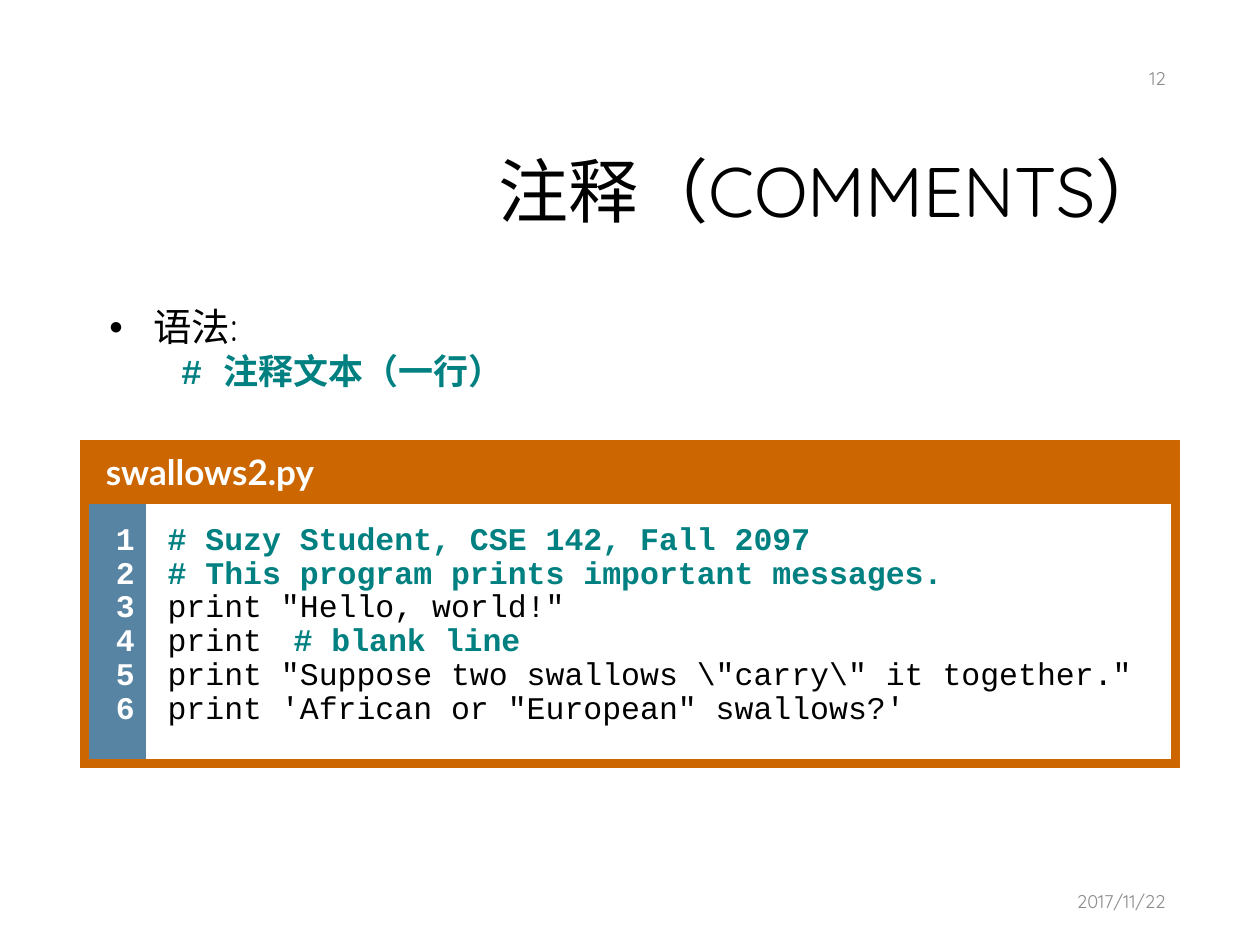
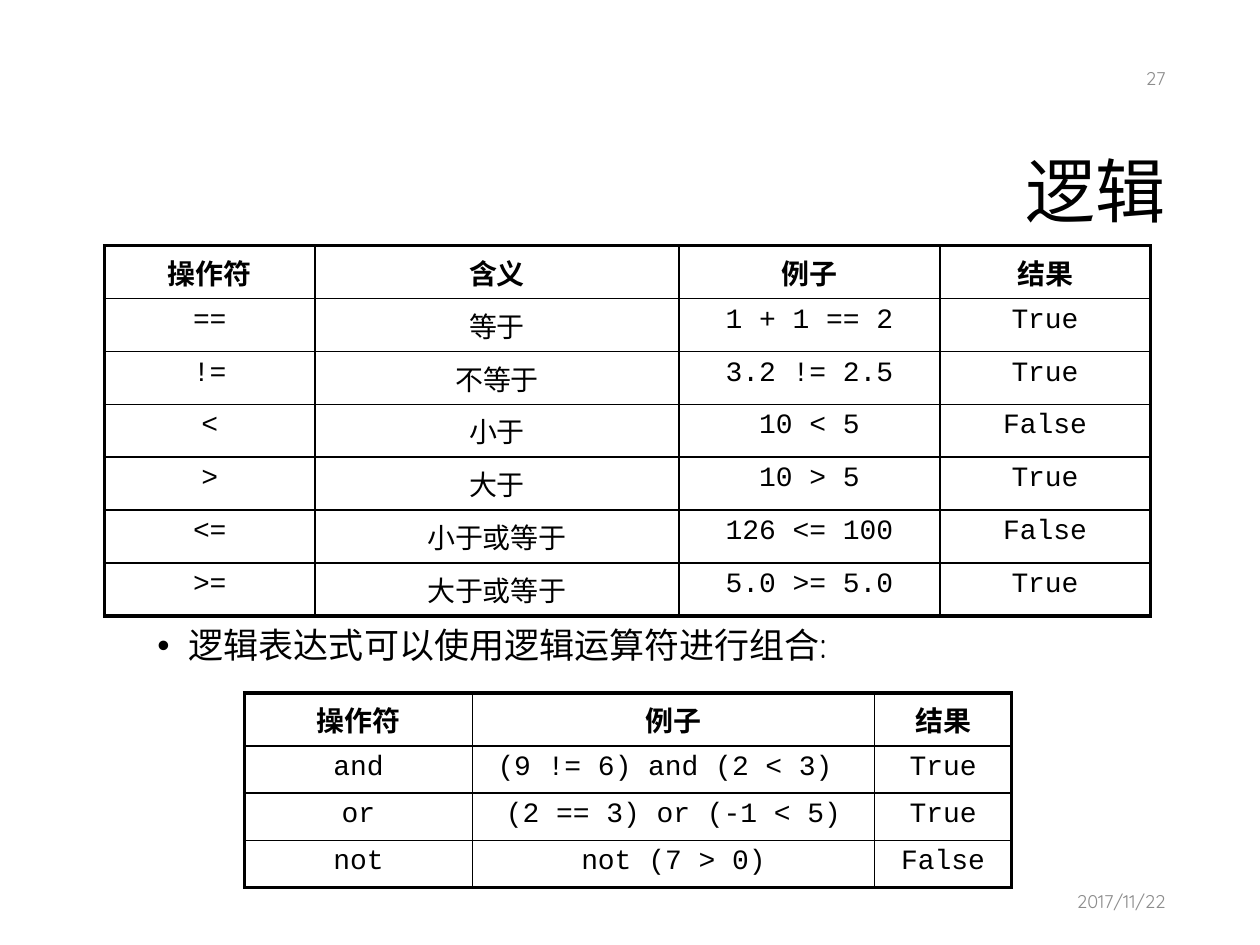
from lxml import etree
from pptx import Presentation
from pptx.dml.color import RGBColor
from pptx.enum.text import MSO_ANCHOR, PP_ALIGN
from pptx.oxml.ns import qn
from pptx.util import Inches, Pt

LEFT, CENTER, RIGHT = PP_ALIGN.LEFT, PP_ALIGN.CENTER, PP_ALIGN.RIGHT
MIDDLE, TOP = MSO_ANCHOR.MIDDLE, MSO_ANCHOR.TOP
BLACK, WHITE, GRAY = "000000", "FFFFFF", "8C8C8C"
TEAL, ORANGE, BLUE = "008080", "CC6600", "5784A3"
HEADING, LATO, MONO = "Quicksand", "Lato", "Courier New"
hex_color = RGBColor.from_string


def write(paragraph, runs, size, align=LEFT, spacing=1.0, before=0.0,
          margin=0.0, indent=0.0, bullet=None):
    """Fill a paragraph with runs given as (text, font, colour, bold)."""
    paragraph.alignment = align
    paragraph.line_spacing = spacing
    paragraph.space_before = Pt(before)
    properties = paragraph._p.get_or_add_pPr()
    properties.set("marL", str(Inches(margin)))
    properties.set("indent", str(Inches(indent)))
    if bullet:
        font = etree.SubElement(properties, qn("a:buFont"))
        font.set("typeface", "Arial")
        etree.SubElement(properties, qn("a:buChar")).set("char", bullet)
    else:
        etree.SubElement(properties, qn("a:buNone"))
    for text, typeface, color, bold in runs:
        run = paragraph.add_run()
        run.text = text
        run.font.name = typeface
        run.font.size = Pt(size)
        run.font.bold = bold
        run.font.color.rgb = hex_color(color)


def set_borders(cell, color, widths):
    """Draw the left, right, top and bottom lines; a width of 0 draws none."""
    properties = cell._tc.get_or_add_tcPr()
    for position, (side, width) in enumerate(zip("LRTB", widths)):
        line = etree.Element(qn(f"a:ln{side}"), w=str(Pt(width)))
        if width:
            fill = etree.SubElement(line, qn("a:solidFill"))
            etree.SubElement(fill, qn("a:srgbClr")).set("val", color)
        else:
            etree.SubElement(line, qn("a:noFill"))
        properties.insert(position, line)


presentation = Presentation()
presentation.slide_width, presentation.slide_height = Inches(10), Inches(7.5)
blank_layout = presentation.slide_layouts[6]

# Title, bullets, date and number of each slide
bullet_22 = dict(size=22, spacing=0.9, margin=0.47, indent=-0.35, bullet="•")
comment_20 = dict(size=20, spacing=0.77, before=5, margin=0.94, indent=-0.25)
bullet_20 = dict(size=20, spacing=0.9, margin=0.75, indent=-0.25, bullet="•")
pages = [
    ("注释（COMMENTS）", "12", 2.4, [
        ([("语法:", HEADING, BLACK, False)], bullet_22),
        ([("# ", MONO, TEAL, True), ("注释文本（一行）", HEADING, TEAL, True)],
         comment_20)]),
    ("逻辑", "27", 4.94, [
        ([("逻辑表达式可以使用逻辑运算符进行组合:", HEADING, BLACK, False)],
         bullet_20)]),
]
slides = []
for title, number, body_top, body in pages:
    slide = presentation.slides.add_slide(blank_layout)
    slides.append(slide)
    small = dict(size=10.5, align=RIGHT)
    boxes = [
        ((2.38, 0.84, 6.97, 1.41), MIDDLE,
         [([(title, HEADING, BLACK, False)],
           dict(size=40, align=RIGHT, spacing=0.9))]),
        ((0.65, body_top, 8.7, 6.85 - body_top), TOP, body),
        ((7.01, 6.95, 2.34, 0.4), MIDDLE,
         [([("2017/11/22", HEADING, GRAY, False)], small)]),
        ((7.19, 0.42, 2.16, 0.4), MIDDLE,
         [([(number, HEADING, GRAY, False)], small)]),
    ]
    for place, anchor, paragraphs in boxes:
        frame = slide.shapes.add_textbox(*map(Inches, place)).text_frame
        frame.word_wrap = True
        frame.vertical_anchor = anchor
        for index, (runs, style) in enumerate(paragraphs):
            paragraph = frame.add_paragraph() if index else frame.paragraphs[0]
            write(paragraph, runs, **style)

# Slide 1: code listing with line numbers
code_lines = [
    [("# Suzy Student, CSE 142, Fall 2097", MONO, TEAL, True)],
    [("# This program prints important messages.", MONO, TEAL, True)],
    [('print "Hello, world!"', MONO, BLACK, False)],
    [("print\t", MONO, BLACK, False), ("# blank line", MONO, TEAL, True)],
    [(r'print "Suppose two swallows \"carry\" it together."',
      MONO, BLACK, False)],
    [("print 'African or \"European\" swallows?'", MONO, BLACK, False)],
]
line_numbers = [[(str(number), MONO, WHITE, True)]
                for number in range(1, len(code_lines) + 1)]
listing = slides[0].shapes.add_table(
    2, 2, Inches(0.67), Inches(3.53), Inches(8.66), Inches(2.44)).table
listing.first_row = listing.horz_banding = False
for column, width in zip(listing.columns, (0.49, 8.17)):
    column.width = Inches(width)
for row, height in zip(listing.rows, (0.43, 2.01)):
    row.height = Inches(height)
listing.cell(0, 0).merge(listing.cell(0, 1))

file_name = [[("swallows2.py", LATO, WHITE, True)]]
listing_cells = [
    (0, 0, ORANGE, (6, 6, 6, 6), (0.05, 0.05, 0.05), file_name,
     dict(size=20)),
    (1, 0, BLUE, (6, 0, 6, 6), (0.05, 0.23, 0.09), line_numbers,
     dict(size=18, align=RIGHT, spacing=0.77)),
    (1, 1, WHITE, (0, 6, 6, 6), (0.05, 0.23, 0.18), code_lines,
     dict(size=18, spacing=0.77)),
]
for row, column, fill, widths, insets, lines, style in listing_cells:
    cell = listing.cell(row, column)
    cell.fill.solid()
    cell.fill.fore_color.rgb = hex_color(fill)
    set_borders(cell, ORANGE, widths)
    left, vertical, right = map(Inches, insets)
    cell.margin_left, cell.margin_right = left, right
    cell.margin_top = cell.margin_bottom = vertical
    for index, runs in enumerate(lines):
        frame = cell.text_frame
        paragraph = frame.add_paragraph() if index else frame.paragraphs[0]
        write(paragraph, runs, before=0.2 * style["size"], margin=0.12, **style)
        if len(runs) > 1:
            tabs = etree.SubElement(paragraph._p.pPr, qn("a:tabLst"))
            etree.SubElement(tabs, qn("a:tab"), pos=str(Inches(3.45)), algn="l")

# Slide 2: comparison and logical operators
tables = [
    (1.94, 5.5, (1.81, 3.19, 1.09), 0.375, [
        ("操作符", "例子", "结果"),
        ("and", "(9 != 6) and (2 < 3) ", "True"),
        ("or", "(2 == 3) or (-1 < 5)", "True"),
        ("not", "not (7 > 0)", "False")]),
    (0.83, 1.95, (1.67, 2.89, 2.07, 1.67), 0.42, [
        ("操作符", "含义", "例子", "结果"),
        ("==", "等于", "1 + 1 == 2", "True"),
        ("!=", "不等于", "3.2 != 2.5", "True"),
        ("<", "小于", "10 < 5", "False"),
        (">", "大于", "10 > 5", "True"),
        ("<=", "小于或等于", "126 <= 100", "False"),
        (">=", "大于或等于", "5.0 >= 5.0", "True")]),
]
OUTER, INNER = 2.25, 1
for left, top, column_widths, row_height, rows in tables:
    last_row, last_column = len(rows) - 1, len(column_widths) - 1
    table = slides[1].shapes.add_table(
        len(rows), len(column_widths), Inches(left), Inches(top),
        Inches(sum(column_widths)), Inches(row_height * len(rows))).table
    table.first_row = table.horz_banding = False
    for column, width in zip(table.columns, column_widths):
        column.width = Inches(width)
    for r, texts in enumerate(rows):
        table.rows[r].height = Inches(row_height if r else 0.42)
        for c, text in enumerate(texts):
            cell = table.cell(r, c)
            cell.fill.background()
            at_edge = (c == 0, c == last_column, r == 0, r == last_row)
            set_borders(cell, BLACK,
                        [OUTER if edge else INNER for edge in at_edge])
            typeface = MONO if text.isascii() else LATO
            write(cell.text_frame.paragraphs[0],
                  [(text, typeface, BLACK, r == 0)],
                  size=16, align=CENTER, before=3.2)

presentation.save("out.pptx")
